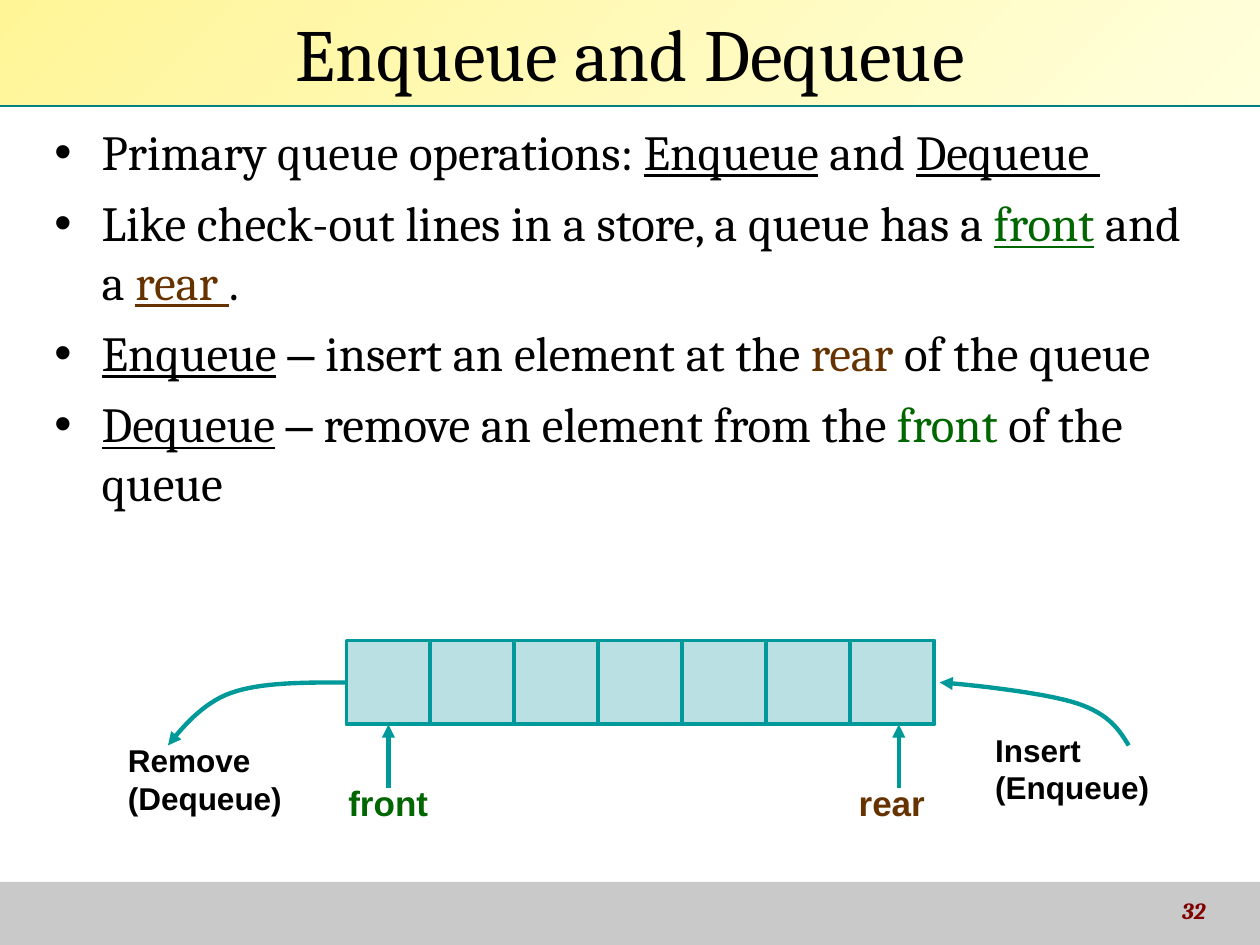
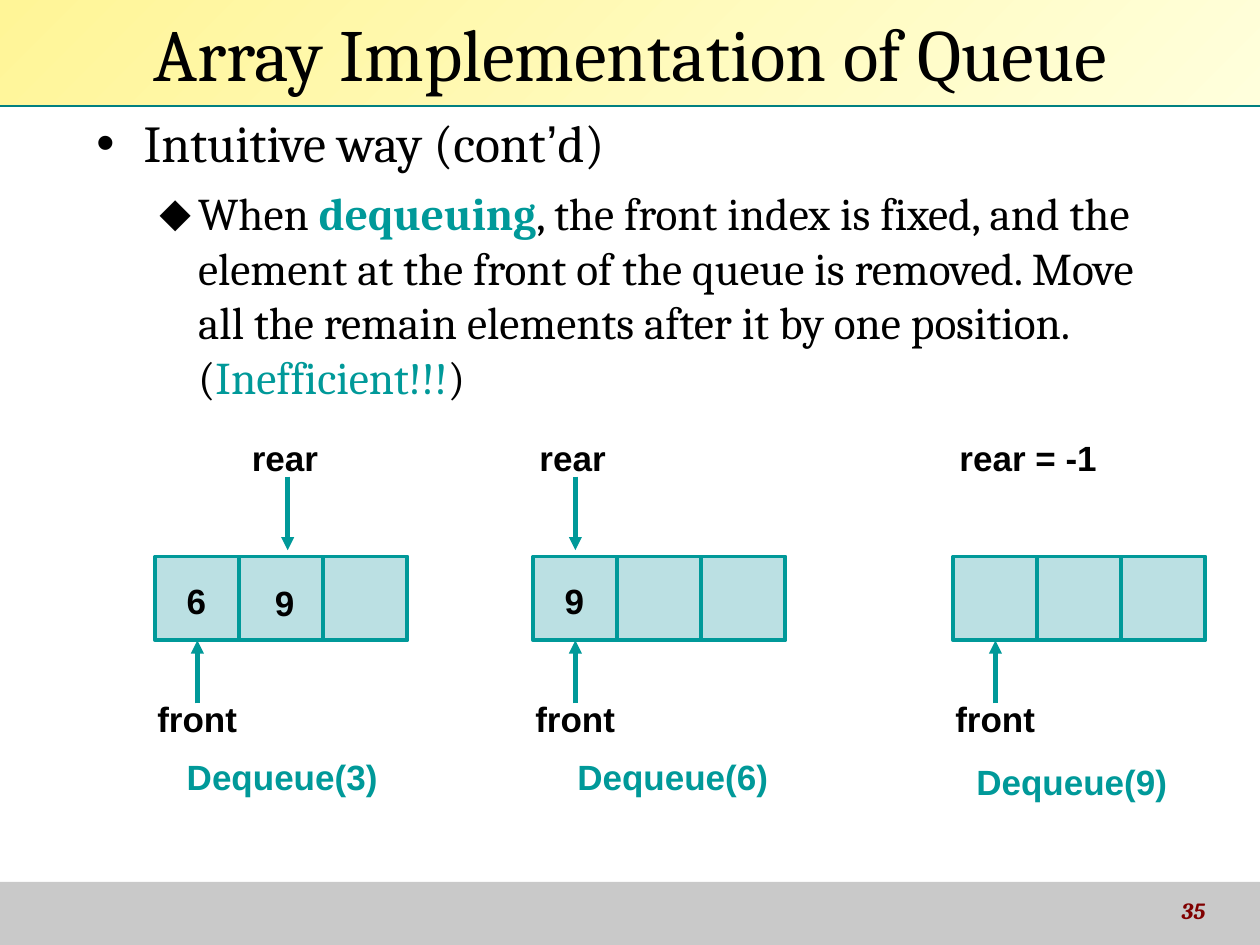
"""Builds two slides on queues: enqueue and dequeue, and the array implementation."""
import pptx
import pptx.dml.color
import pptx.enum.shapes
import pptx.enum.text
import pptx.oxml.ns
import pptx.util
from lxml import etree

PX = 7620
SLIDE_WIDTH, SLIDE_HEIGHT = 1200, 900
TITLE_HEIGHT, FOOTER_TOP = 100, 840
CELL = 80
SERIF, SANS = "Cambria", "Arial"
COLORS = {
    "text": "000000", "front": "006600", "rear": "663300", "accent": "009999",
    "cell": "BBE0E3", "band_start": "FFF597", "band_end": "FFFFDC",
    "rule": "008080", "footer": "C9C9C9", "number": "800000",
}
UNDERLINED = {"underline": True}
DASH = ("–", {"font": SANS})
LEVELS = [
    {"bullet": "•", "margin": 45, "hanging": 45},
    {"bullet": "⬥", "margin": 97, "hanging": 37},
]

OPERATIONS = {
    "title": "Enqueue and Dequeue",
    "number": "32",
    "box": (40, 110, 1120, 500),
    "paragraphs": [
        (0, 28, 0, [("Primary queue operations: ", {}), ("Enqueue", UNDERLINED),
                    (" and ", {}), ("Dequeue ", UNDERLINED)]),
        (0, 28, 7, [("Like check-out lines in a store, a queue has a ", {}),
                    ("front", {"color": "front", "underline": True}), (" and a ", {}),
                    ("rear ", {"color": "rear", "underline": True}), (".", {})]),
        (0, 28, 7, [("Enqueue", UNDERLINED), (" ", {}), DASH,
                    (" insert an element at the ", {}), ("rear", {"color": "rear"}),
                    (" of the queue", {})]),
        (0, 28, 7, [("Dequeue", UNDERLINED), (" ", {}), DASH,
                    (" remove an element from the ", {}), ("front", {"color": "front"}),
                    (" of the queue", {})]),
    ],
}
QUEUE = {"left": 330, "top": 610, "cells": 7}
QUEUE_POINTERS = [("front", 370, "front"), ("rear", 856, "rear")]
QUEUE_MOVES = [
    (["Remove", "(Dequeue)"], (110, 700),
     [(330, 650), (289, 650), (248, 650), (220, 660), (192, 670), (172, 695), (160, 710)]),
    (["Insert", "(Enqueue)"], (936, 690),
     [(1075, 710), (1066, 695), (1056, 680), (1026, 670), (996, 660), (924, 652), (895, 650)]),
]

ARRAY = {
    "title": "Array Implementation of Queue",
    "number": "35",
    "box": (80, 100, 1030, 300),
    "paragraphs": [
        (0, 29.6, 0, [("Intuitive way (cont", {}), ("’", {"font": SANS}), ("d)", {})]),
        (1, 25.9, 7, [("When ", {}), ("dequeuing", {"color": "accent", "bold": True}),
                      (", the front index is fixed, and the element at the front of the queue "
                       "is removed. Move all the remain elements after it by one position. (", {}),
                      ("Inefficient!!!", {"color": "accent"}), (")", {})]),
    ],
}
ARRAY_TOP, ARRAY_CELLS = 530, 3
DEQUEUE_STEPS = [
    {"left": 148, "values": [("6", 166, 546), ("9", 250, 548)], "rear": "rear",
     "rear_x": 274, "empty": False, "caption": ("Dequeue(3)", 166, 714)},
    {"left": 508, "values": [("9", 526, 546)], "rear": "rear",
     "rear_x": 548, "empty": False, "caption": ("Dequeue(6)", 538, 714)},
    {"left": 908, "values": [], "rear": "rear = -1",
     "rear_x": 948, "empty": True, "caption": ("Dequeue(9)", 918, 718)},
]


def rgb(name):
    return pptx.dml.color.RGBColor.from_string(COLORS[name])


def emu(*lengths):
    return [pptx.util.Emu(length * PX) for length in lengths]


def add_run(paragraph, text, size, font=SERIF, color="text", bold=False,
            italic=False, underline=False):
    run = paragraph.add_run()
    run.text = text
    run.font.size = pptx.util.Pt(size)
    run.font.name = font
    run.font.color.rgb = rgb(color)
    run.font.bold, run.font.italic, run.font.underline = bold, italic, underline


def add_text_frame(slide, box):
    frame = slide.shapes.add_textbox(*emu(*box)).text_frame
    frame.word_wrap = True
    return frame


def add_label(slide, lines, left, top, width, size=20, color="text"):
    paragraph = add_text_frame(slide, (left, top, width, 53 * len(lines))).paragraphs[0]
    for index, line in enumerate(lines):
        if index:
            paragraph.add_line_break()
        add_run(paragraph, line, size, SANS, color, bold=True)


def add_rectangle(slide, box, fill=None, outline=None):
    rectangle = slide.shapes.add_shape(pptx.enum.shapes.MSO_SHAPE.RECTANGLE, *emu(*box))
    rectangle.shadow.inherit = False
    if fill:
        rectangle.fill.solid()
        rectangle.fill.fore_color.rgb = rgb(fill)
    if outline:
        rectangle.line.color.rgb = rgb(outline)
        rectangle.line.width = pptx.util.Pt(2.25)
    else:
        rectangle.line.fill.background()
    return rectangle


def add_arrowhead(line):
    etree.SubElement(line.line._get_or_add_ln(), pptx.oxml.ns.qn("a:tailEnd"), type="triangle")


def add_line(slide, start, end, color, width):
    line = slide.shapes.add_connector(
        pptx.enum.shapes.MSO_CONNECTOR.STRAIGHT, *emu(*start, *end))
    line.line.color.rgb = rgb(color)
    line.line.width = pptx.util.Pt(width)
    etree.SubElement(line._element.spPr, pptx.oxml.ns.qn("a:effectLst"))
    return line


def add_arrow(slide, x, start_y, end_y):
    add_arrowhead(add_line(slide, (x, start_y), (x, end_y), "accent", 2.5))


def add_curved_arrow(slide, controls, steps=16):
    points = []
    for first in range(0, len(controls) - 1, 3):
        curve = controls[first:first + 4]
        for step in range(1, steps + 1):
            t = step / steps
            weights = ((1 - t) ** 3, 3 * t * (1 - t) ** 2, 3 * t ** 2 * (1 - t), t ** 3)
            points.append(tuple(
                round(PX * sum(w * point[axis] for w, point in zip(weights, curve)))
                for axis in (0, 1)))
    builder = slide.shapes.build_freeform(*emu(*controls[0]))
    builder.add_line_segments(points, close=False)
    arrow = builder.convert_to_shape()
    arrow.shadow.inherit = False
    arrow.fill.background()
    arrow.line.color.rgb = rgb("accent")
    arrow.line.width = pptx.util.Pt(2.5)
    add_arrowhead(arrow)


def add_cells(slide, left, top, cells):
    for index in range(cells):
        add_rectangle(slide, (left + index * CELL, top, CELL, CELL), "cell", "accent")


def add_pointer_below(slide, text, x, cells_top, color="text"):
    bottom = cells_top + CELL
    add_label(slide, [text], x - 50, bottom + 48, 130, color=color)
    add_arrow(slide, x, bottom + 60, bottom)


def add_bullet(paragraph, bullet, margin, hanging):
    properties = paragraph._p.get_or_add_pPr()
    properties.set("marL", str(margin * PX))
    properties.set("indent", str(-hanging * PX))
    color = etree.SubElement(properties, pptx.oxml.ns.qn("a:buClr"))
    etree.SubElement(color, pptx.oxml.ns.qn("a:srgbClr"), val=COLORS["text"])
    etree.SubElement(properties, pptx.oxml.ns.qn("a:buFont"), typeface=SANS)
    etree.SubElement(properties, pptx.oxml.ns.qn("a:buChar"), char=bullet)


def add_content_slide(deck, content):
    slide = deck.slides.add_slide(deck.slide_layouts[6])
    add_rectangle(slide, (0, FOOTER_TOP, SLIDE_WIDTH, SLIDE_HEIGHT - FOOTER_TOP), "footer")
    add_line(slide, (0, TITLE_HEIGHT), (SLIDE_WIDTH, TITLE_HEIGHT), "rule", 2)

    number = add_text_frame(slide, (920, 848, 240, 42))
    number.vertical_anchor = pptx.enum.text.MSO_ANCHOR.MIDDLE
    number.paragraphs[0].alignment = pptx.enum.text.PP_ALIGN.RIGHT
    number.paragraphs[0].line_spacing = 0.8
    add_run(number.paragraphs[0], content["number"], 13.2, color="number",
            bold=True, italic=True)

    band = add_rectangle(slide, (0, 0, SLIDE_WIDTH, TITLE_HEIGHT))
    band.fill.gradient()
    band.fill.gradient_angle = 315
    for stop, color in zip(band.fill.gradient_stops, ("band_start", "band_end")):
        stop.color.rgb = rgb(color)
    band.text_frame.vertical_anchor = pptx.enum.text.MSO_ANCHOR.MIDDLE
    title = band.text_frame.paragraphs[0]
    title.alignment = pptx.enum.text.PP_ALIGN.CENTER
    add_run(title, content["title"], 42)

    body = add_text_frame(slide, content["box"])
    for index, (level, size, space, runs) in enumerate(content["paragraphs"]):
        paragraph = body.add_paragraph() if index else body.paragraphs[0]
        paragraph.level = level
        add_bullet(paragraph, **LEVELS[level])
        if space:
            paragraph.space_before = pptx.util.Pt(space)
        for text, style in runs:
            add_run(paragraph, text, size, **style)
    return slide


def build_operations(deck):
    slide = add_content_slide(deck, OPERATIONS)
    add_cells(slide, **QUEUE)
    for lines, (left, top), controls in QUEUE_MOVES:
        add_curved_arrow(slide, controls)
        add_label(slide, lines, left, top, 210, size=18)
    for text, x, color in QUEUE_POINTERS:
        add_pointer_below(slide, text, x, QUEUE["top"], color)


def build_array(deck):
    slide = add_content_slide(deck, ARRAY)
    for step in DEQUEUE_STEPS:
        add_cells(slide, step["left"], ARRAY_TOP, ARRAY_CELLS)
        add_pointer_below(slide, "front", step["left"] + CELL // 2, ARRAY_TOP)
        add_label(slide, [step["rear"]], step["rear_x"] - 46, ARRAY_TOP - 120, 156)
        if not step["empty"]:
            add_arrow(slide, step["rear_x"], ARRAY_TOP - 76, ARRAY_TOP - 6)
        for value, left, top in step["values"]:
            add_label(slide, [value], left, top, 44)
        caption, left, top = step["caption"]
        add_label(slide, [caption], left, top, 232, color="accent")


def main():
    deck = pptx.Presentation()
    deck.slide_width, deck.slide_height = emu(SLIDE_WIDTH, SLIDE_HEIGHT)
    build_operations(deck)
    build_array(deck)
    deck.save("out.pptx")


if __name__ == "__main__":
    main()
